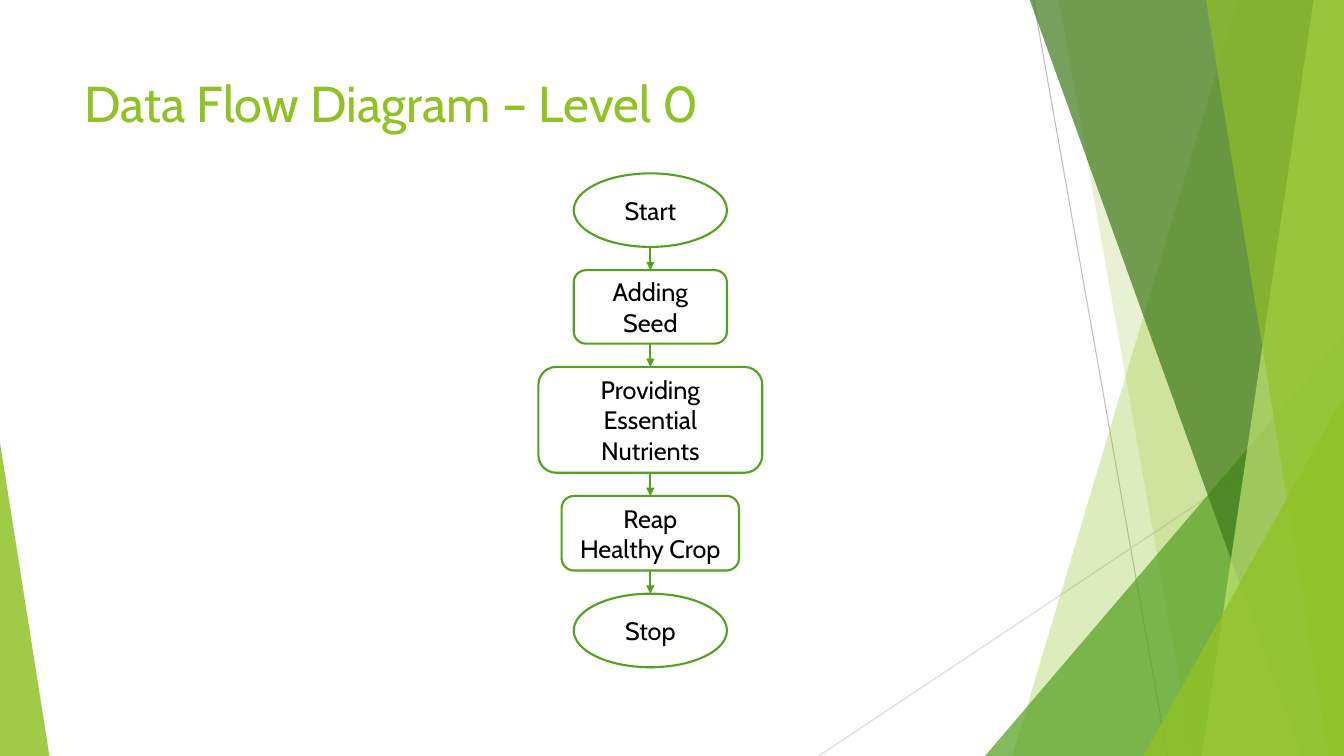
from dataclasses import dataclass

from lxml import etree
from pptx import Presentation
from pptx.dml.color import RGBColor
from pptx.enum.shapes import MSO_CONNECTOR, MSO_SHAPE
from pptx.enum.text import MSO_ANCHOR, PP_ALIGN
from pptx.oxml.ns import qn
from pptx.util import Inches, Pt

OVAL = MSO_SHAPE.OVAL
ROUNDED = MSO_SHAPE.ROUNDED_RECTANGLE
TRIANGLE = MSO_SHAPE.ISOSCELES_TRIANGLE
STRAIGHT = MSO_CONNECTOR.STRAIGHT
TOP_SITE, BOTTOM_SITE = 0, 2

SLIDE_W, SLIDE_H = 13.33, 7.5
FACET_TOP = -0.01
FLOW_CENTER, FLOW_TOP, FLOW_GAP = 6.45, 1.72, 0.23

# Steps from top to bottom: outline, width, height, lines of text
STEPS = [
    (OVAL, 1.52, 0.73, ["Start"]),
    (ROUNDED, 1.52, 0.73, ["Adding Seed"]),
    (ROUNDED, 2.22, 1.05, ["Providing", "Essential", "Nutrients"]),
    (ROUNDED, 1.76, 0.74, ["Reap", "Healthy Crop"]),
    (OVAL, 1.52, 0.73, ["Stop"]),
]


@dataclass(frozen=True)
class Theme:
    font: str = "Cabin"
    title_size: int = 36
    step_size: int = 18
    flow_width: float = 1.5
    hairline_width: float = 0.75
    white: str = "FFFFFF"
    ink: str = "000000"
    lime: str = "90C226"
    green: str = "54A021"
    forest: str = "3F7819"
    pale_lime: str = "C0E474"
    gray: str = "BFBFBF"
    light_gray: str = "D9D9D9"


THEME = Theme()


def rgb(color):
    return RGBColor.from_string(color)


def write_text(frame, lines, size, color, align=PP_ALIGN.LEFT, anchor=MSO_ANCHOR.TOP):
    frame.word_wrap = True
    frame.vertical_anchor = anchor
    for index, line in enumerate(lines):
        paragraph = frame.paragraphs[0] if index == 0 else frame.add_paragraph()
        paragraph.alignment = align
        run = paragraph.add_run()
        run.text = line
        run.font.name = THEME.font
        run.font.size = Pt(size)
        run.font.color.rgb = rgb(color)


def fill_translucent(shape, color, opacity):
    shape.shadow.inherit = False
    shape.line.fill.background()
    shape.fill.solid()
    shape.fill.fore_color.rgb = rgb(color)
    tint = shape.fill._xPr.find(".//" + qn("a:srgbClr"))
    etree.SubElement(tint, qn("a:alpha"), val=str(opacity * 1000))


def add_facet(slide, top_x, bottom_x, color, opacity):
    """Four-sided band that runs from a slanted left edge to the slide's right edge."""
    builder = slide.shapes.build_freeform(
        Inches(top_x), Inches(FACET_TOP), scale=1.0)
    corners = [(SLIDE_W, FACET_TOP), (SLIDE_W, SLIDE_H), (bottom_x, SLIDE_H)]
    builder.add_line_segments([(Inches(x), Inches(y)) for x, y in corners])
    fill_translucent(builder.convert_to_shape(), color, opacity)


def add_corner(slide, left, width, height, peak, color, opacity):
    """Right triangle on the slide's bottom edge; peak 0 is left, 1 is right."""
    corner = slide.shapes.add_shape(
        TRIANGLE, Inches(left), Inches(SLIDE_H - height), Inches(width), Inches(height))
    corner.adjustments[0] = peak
    fill_translucent(corner, color, opacity)


def add_line(slide, start, end, color, width):
    line = slide.shapes.add_connector(STRAIGHT, *(Inches(v) for v in (*start, *end)))
    line.line.color.rgb = rgb(color)
    line.line.width = Pt(width)
    etree.SubElement(line._element.spPr, qn("a:effectLst"))
    return line


def add_step(slide, outline, top, width, height, lines):
    step = slide.shapes.add_shape(
        outline, Inches(FLOW_CENTER - width / 2), Inches(top), Inches(width), Inches(height))
    step.shadow.inherit = False
    step.fill.solid()
    step.fill.fore_color.rgb = rgb(THEME.white)
    step.line.color.rgb = rgb(THEME.green)
    step.line.width = Pt(THEME.flow_width)
    write_text(step.text_frame, lines, THEME.step_size, THEME.ink,
               align=PP_ALIGN.CENTER, anchor=MSO_ANCHOR.MIDDLE)
    return step


def add_flow_arrow(slide, upper, lower, top):
    arrow = add_line(slide, (FLOW_CENTER, top), (FLOW_CENTER, top + FLOW_GAP),
                     THEME.green, THEME.flow_width)
    etree.SubElement(arrow.line._get_or_add_ln(), qn("a:tailEnd"), type="triangle")
    # An oval numbers its sites differently, so only its top is joined
    if upper.auto_shape_type == ROUNDED:
        arrow.begin_connect(upper, BOTTOM_SITE)
    arrow.end_connect(lower, TOP_SITE)


def add_backdrop(slide):
    add_line(slide, (10.25, 0), (11.58, SLIDE_H), THEME.gray, THEME.hairline_width)
    add_line(slide, (SLIDE_W, 4.03), (8.12, SLIDE_H), THEME.light_gray, THEME.hairline_width)
    add_facet(slide, 12.28, 10.04, THEME.lime, 30)
    add_facet(slide, 10.5, 11.83, THEME.lime, 20)
    add_corner(slide, 9.77, 3.56, 4.17, 1, THEME.green, 72)
    add_facet(slide, 10.21, 12.91, THEME.forest, 70)
    add_facet(slide, 13.03, 11.92, THEME.pale_lime, 70)
    add_facet(slide, 11.96, 13.18, THEME.lime, 65)
    add_corner(slide, 11.34, 1.99, 3.57, 1, THEME.lime, 80)
    add_corner(slide, 0, 0.49, 3.11, 0, THEME.lime, 85)


def add_title(slide, title):
    box = slide.shapes.add_textbox(Inches(0.74), Inches(0.67), Inches(9.4), Inches(1.44))
    write_text(box.text_frame, [title], THEME.title_size, THEME.lime)


def add_flow(slide):
    steps, gap_tops = [], []
    top = FLOW_TOP
    for outline, width, height, lines in STEPS:
        steps.append(add_step(slide, outline, top, width, height, lines))
        gap_tops.append(top + height)
        top += height + FLOW_GAP
    for upper, lower, gap_top in zip(steps, steps[1:], gap_tops):
        add_flow_arrow(slide, upper, lower, gap_top)


def main():
    deck = Presentation()
    deck.slide_width, deck.slide_height = Inches(SLIDE_W), Inches(SLIDE_H)
    slide = deck.slides.add_slide(deck.slide_layouts[6])
    add_backdrop(slide)
    add_title(slide, "Data Flow Diagram – Level 0")
    add_flow(slide)
    deck.save("out.pptx")


if __name__ == "__main__":
    main()
